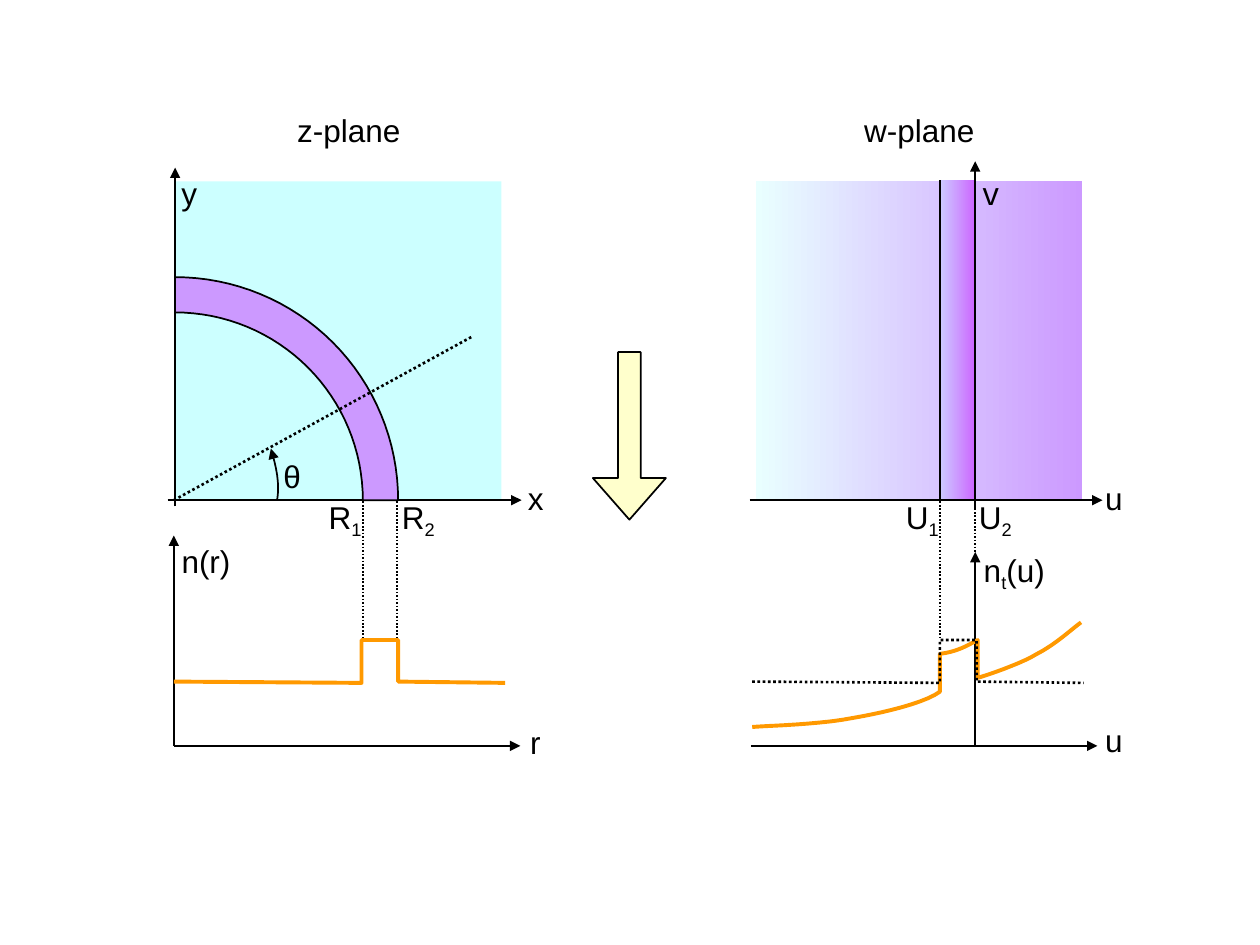
import math

from lxml import etree
from pptx import Presentation
from pptx.dml.color import RGBColor
from pptx.enum.dml import MSO_LINE
from pptx.enum.shapes import MSO_CONNECTOR, MSO_SHAPE
from pptx.enum.text import MSO_ANCHOR, MSO_AUTO_SIZE, PP_ALIGN
from pptx.oxml.ns import qn
from pptx.util import Inches, Pt

DOTTED = MSO_LINE.ROUND_DOT
STRAIGHT = MSO_CONNECTOR.STRAIGHT
RECTANGLE = MSO_SHAPE.RECTANGLE
RIGHT_ARROW = MSO_SHAPE.RIGHT_ARROW
CENTER, LEFT = PP_ALIGN.CENTER, PP_ALIGN.LEFT
MIDDLE, TOP = MSO_ANCHOR.MIDDLE, MSO_ANCHOR.TOP
FIT_SHAPE = MSO_AUTO_SIZE.SHAPE_TO_FIT_TEXT

COLORS = {
    "ink": "000000",
    "index": "FF9900",
    "arrow": "FFFFCC",
    "medium": "CCFFFF",
    "ring": "CC99FF",
    "pale": "E9FFFF",
    "strip_start": "CCCCFF",
    "strip_end": "CC66FF",
}

BASE_Y = 3.97        # horizontal axis of both planes
GRAPH_Y = 5.92       # horizontal axis of both index graphs
Z_ORIGIN_X = 1.39
INNER_R, OUTER_R = 1.49, 1.77
U1, U2 = 7.46, 7.74
PLANE_TOP, PLANE_W, PLANE_H = 1.44, 2.59, 2.53
GUIDE_TOP, GUIDE_BOTTOM = 3.98, 5.06
STEP_POINTS = [(0, 5.41), (1.49, 5.42), (1.49, 5.08),
               (1.78, 5.08), (1.78, 5.41), (2.63, 5.42)]


def rgb(name):
    return RGBColor.from_string(COLORS[name])


def style_line(line, color="ink", width=1, dash=None, arrow=False):
    line.color.rgb = rgb(color)
    line.width = Pt(width)
    if dash:
        line.dash_style = dash
    if arrow:
        properties = line._get_or_add_ln()
        etree.SubElement(properties, qn("a:tailEnd"), type="triangle")


def add_line(shapes, start, end, **line_format):
    line = shapes.add_connector(STRAIGHT, *map(Inches, start + end))
    style_line(line.line, **line_format)
    etree.SubElement(line._element.spPr, qn("a:effectLst"))


def add_block(shapes, kind, left, top, width, height, fill, outlined=False):
    """Add a preset shape; a pair of colours as fill makes a gradient."""
    block = shapes.add_shape(kind, *map(Inches, (left, top, width, height)))
    block.shadow.inherit = False
    if isinstance(fill, tuple):
        block.fill.gradient()
        block.fill.gradient_angle = 0
        for stop, color, position in zip(block.fill.gradient_stops, fill, (0, 1)):
            stop.color.rgb = rgb(color)
            stop.position = position
    else:
        block.fill.solid()
        block.fill.fore_color.rgb = rgb(fill)
    if outlined:
        style_line(block.line)
    else:
        block.line.fill.background()
    return block


def add_path(shapes, points, fill=None, **line_format):
    """Add a path through points in inches, closed when it has a fill."""
    corners = [(Inches(x), Inches(y)) for x, y in points]
    builder = shapes.build_freeform(*corners[0])
    builder.add_line_segments(corners[1:], close=fill is not None)
    path = builder.convert_to_shape()
    path.shadow.inherit = False
    if fill:
        path.fill.solid()
        path.fill.fore_color.rgb = rgb(fill)
    else:
        path.fill.background()
    style_line(path.line, **line_format)


def add_label(shapes, left, top, width, text, sub="", rest="", height=0.4,
              font="Arial", align=CENTER, anchor=MIDDLE):
    """Add a one-line label with an optional subscript and text after it."""
    box = shapes.add_textbox(*map(Inches, (left, top, width, height)))
    frame = box.text_frame
    frame.word_wrap = False
    frame.auto_size = FIT_SHAPE
    frame.vertical_anchor = anchor
    paragraph = frame.paragraphs[0]
    paragraph.alignment = align
    for part, baseline in ((text, 0), (sub, -25000), (rest, 0)):
        if not part:
            continue
        run = paragraph.add_run()
        run.text = part
        run.font.size = Pt(18)
        run.font.name = font
        run.font.color.rgb = rgb("ink")
        if baseline:
            run.font._element.set("baseline", str(baseline))


def bezier(p0, p1, p2, p3, steps=10):
    points = []
    for i in range(steps + 1):
        t = i / steps
        weights = ((1 - t) ** 3, 3 * t * (1 - t) ** 2, 3 * t * t * (1 - t), t ** 3)
        points.append(tuple(sum(w * p[axis] for w, p in zip(weights, (p0, p1, p2, p3)))
                            for axis in (0, 1)))
    return points


def quarter_arc(radius, steps=32):
    """Points from the vertical axis down to the horizontal one."""
    angles = [math.pi / 2 * i / steps for i in range(steps + 1)]
    return [(Z_ORIGIN_X + radius * math.sin(a), BASE_Y - radius * math.cos(a))
            for a in angles]


def step_profile(left):
    return [(left + x, y) for x, y in STEP_POINTS]


def add_guides(shapes, *positions):
    for x in positions:
        add_line(shapes, (x, GUIDE_TOP), (x, GUIDE_BOTTOM), dash=DOTTED)


def draw_z_plane(shapes):
    graph_x = 1.38
    add_label(shapes, 4.11, 5.69, 0.28, "r")
    add_block(shapes, RECTANGLE, Z_ORIGIN_X, PLANE_TOP, PLANE_W, PLANE_H, "medium")
    add_line(shapes, (1.33, BASE_Y), (4.14, BASE_Y), arrow=True)
    add_line(shapes, (Z_ORIGIN_X, 4.02), (Z_ORIGIN_X, 1.33), arrow=True)
    add_path(shapes, quarter_arc(INNER_R) + quarter_arc(OUTER_R)[::-1], fill="ring")
    add_label(shapes, 2.51, 3.9, 0.46, "R", sub="1", height=0.44)
    angle_arc = (bezier((2.2, BASE_Y), (2.21, 3.91), (2.21, 3.84), (2.2, 3.77), 4)
                 + bezier((2.2, 3.77), (2.19, 3.7), (2.17, 3.63), (2.15, 3.56), 4)[1:])
    add_path(shapes, angle_arc, arrow=True)
    add_label(shapes, 2.15, 3.58, 0.33, "θ")
    add_label(shapes, 3.09, 3.9, 0.46, "R", sub="2", height=0.44)
    add_label(shapes, 1.34, 1.33, 0.32, "y")
    add_line(shapes, (graph_x, BASE_Y), (3.75, 2.67), width=1.5, dash=DOTTED)
    for end in ((graph_x, 4.25), (4.13, GRAPH_Y)):
        add_line(shapes, (graph_x, GRAPH_Y), end, arrow=True)
    add_path(shapes, step_profile(graph_x), color="index", width=2.25)
    add_label(shapes, 1.33, 4.25, 0.61, "n(r)")
    add_guides(shapes, 2.88, 3.15)
    add_label(shapes, 4.09, 3.75, 0.32, "x")
    add_label(shapes, 2.26, 0.83, 1.1, "z-plane", align=LEFT, anchor=TOP)


def draw_w_plane(shapes):
    add_label(shapes, 6.76, 0.83, 1.15, "w-plane", align=LEFT, anchor=TOP)
    add_line(shapes, (U2, GRAPH_Y), (U2, 4.38), arrow=True)
    add_line(shapes, (5.96, GRAPH_Y), (8.71, GRAPH_Y), arrow=True)
    transformed_index = (
        bezier((5.97, 5.77), (6.1, 5.76), (6.51, 5.75), (6.76, 5.7))
        + bezier((6.76, 5.7), (7, 5.66), (7.34, 5.58), (U1, 5.49))[1:]
        + bezier((U1, 5.19), (7.61, 5.17), (7.68, 5.12), (7.76, 5.08))
        + bezier((7.76, 5.38), (7.83, 5.36), (8.1, 5.27), (8.23, 5.19))
        + bezier((8.23, 5.19), (8.37, 5.12), (8.51, 4.99), (8.58, 4.94))[1:])
    add_path(shapes, transformed_index, color="index", width=2.25)
    add_label(shapes, 7.67, 4.32, 0.76, "n", sub="t", rest="(u)", height=0.44)
    add_label(shapes, 8.67, 5.67, 0.34, "u")
    add_path(shapes, step_profile(5.97), width=1.5, dash=DOTTED)
    add_block(shapes, RECTANGLE, 6, PLANE_TOP, PLANE_W, PLANE_H, ("pale", "ring"))
    add_line(shapes, (5.95, BASE_Y), (8.75, BASE_Y), arrow=True)
    add_label(shapes, 7.09, 3.9, 0.46, "U", sub="1", height=0.44)
    add_label(shapes, 7.67, 3.9, 0.46, "U", sub="2", height=0.44)
    add_label(shapes, 8.67, 3.75, 0.34, "u")
    add_block(shapes, RECTANGLE, U1, 1.43, U2 - U1, PLANE_H,
              ("strip_start", "strip_end"))
    for x in (U1, U2):
        add_line(shapes, (x, BASE_Y), (x, 1.43))
    add_guides(shapes, U1, U2)
    add_label(shapes, 7.69, 1.33, 0.32, "v", font="Noto Sans Mono")
    add_line(shapes, (U2, 4.03), (U2, 1.28), arrow=True)


def main():
    presentation = Presentation()
    presentation.slide_width, presentation.slide_height = Inches(10), Inches(7.5)
    slide = presentation.slides.add_slide(presentation.slide_layouts[6])
    mapping_arrow = add_block(slide.shapes, RIGHT_ARROW, 4.33, 3.17, 1.33, 0.58,
                              "arrow", outlined=True)
    mapping_arrow.rotation = 90
    mapping_arrow.adjustments[0] = 0.31
    mapping_arrow.adjustments[1] = 0.57
    draw_z_plane(slide.shapes.add_group_shape().shapes)
    draw_w_plane(slide.shapes.add_group_shape().shapes)
    presentation.save("out.pptx")


if __name__ == "__main__":
    main()
